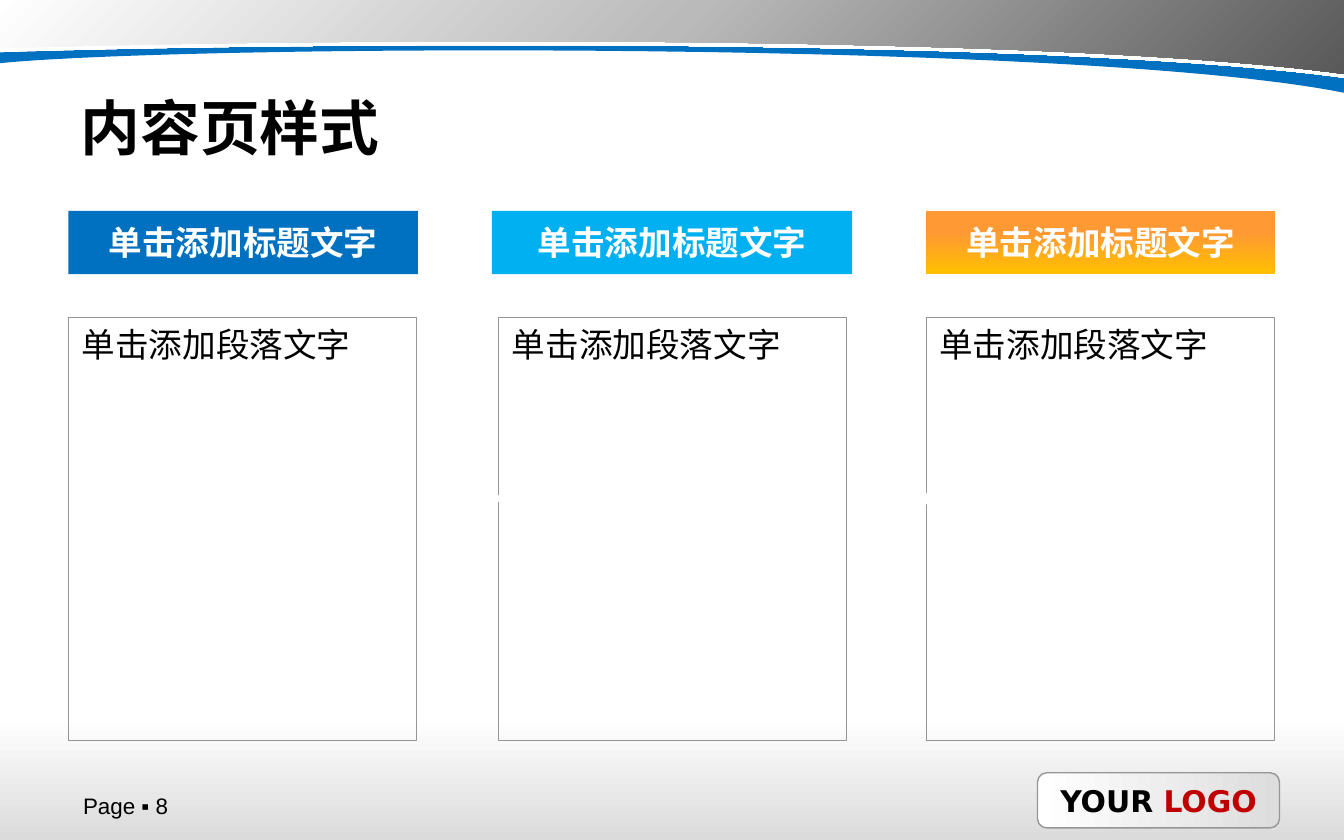
import pptx
import pptx.util
import pptx.dml.color
import pptx.enum.shapes
import pptx.enum.text
import pptx.oxml
import pptx.oxml.ns

Inches = pptx.util.Inches
Pt = pptx.util.Pt
RGBColor = pptx.dml.color.RGBColor
MSO_SHAPE = pptx.enum.shapes.MSO_SHAPE
PP_ALIGN = pptx.enum.text.PP_ALIGN
MIDDLE = pptx.enum.text.MSO_ANCHOR.MIDDLE

WHITE = RGBColor(0xFF, 0xFF, 0xFF)
BLACK = RGBColor(0x00, 0x00, 0x00)
BLUE = RGBColor(0x00, 0x70, 0xC0)
SKY = RGBColor(0x00, 0xB0, 0xF0)
AMBER = RGBColor(0xFF, 0xC0, 0x00)
ORANGE = RGBColor(0xFF, 0x99, 0x33)
RED = RGBColor(0xC0, 0x00, 0x00)
BORDER = RGBColor(0x96, 0x96, 0x96)
MIST = RGBColor(0xDD, 0xDD, 0xDD)
FOOTER_GRAY = RGBColor(0xDB, 0xDB, 0xDB)
SILVER = RGBColor(0xBA, 0xBA, 0xBA)
CHARCOAL = RGBColor(0x59, 0x59, 0x59)
NAMESPACE = pptx.oxml.ns.nsdecls("a")


def paint(shape, stops, angle=0):
    shape.shadow.inherit = False
    shape.line.fill.background()
    if len(stops) == 1:
        shape.fill.solid()
        shape.fill.fore_color.rgb = stops[0][1]
        return
    shape.fill.gradient()
    gradient = shape.fill._xPr.find(pptx.oxml.ns.qn("a:gradFill"))
    marks = "".join(
        f'<a:gs pos="{position * 1000}"><a:srgbClr val="{color}"/></a:gs>'
        for position, color in stops
    )
    gradient.getparent().replace(gradient, pptx.oxml.parse_xml(
        f'<a:gradFill {NAMESPACE} rotWithShape="1"><a:gsLst>{marks}</a:gsLst>'
        f'<a:lin ang="{angle * 60000}" scaled="0"/></a:gradFill>'))


def style(run, size, color, bold=False, font="DejaVu Sans"):
    run.font.size = Pt(size)
    run.font.color.rgb = color
    run.font.bold = bold
    run.font.name = font


deck = pptx.Presentation()
deck.slide_width = Inches(10)
deck.slide_height = Inches(6.25)
slide = deck.slides.add_slide(deck.slide_layouts[5])
shapes = slide.shapes

footer_band = shapes.add_shape(MSO_SHAPE.RECTANGLE, 0, Inches(5.33), Inches(10), Inches(0.92))
paint(footer_band, [(0, WHITE), (100, FOOTER_GRAY)], 90)

badge = shapes.add_shape(
    MSO_SHAPE.ROUNDED_RECTANGLE, Inches(7.72), Inches(5.75), Inches(1.8), Inches(0.41))
paint(badge, [(0, WHITE), (100, MIST)])
badge.line.color.rgb = BORDER
badge.line.width = Pt(0.75)
badge.text_frame.word_wrap = False
badge.text_frame.vertical_anchor = MIDDLE
badge_line = badge.text_frame.paragraphs[0]
badge_line.alignment = PP_ALIGN.CENTER
for word, color in (("YOUR ", BLACK), ("LOGO", RED)):
    run = badge_line.add_run()
    run.text = word
    style(run, 16, color, bold=True)

ribbons = (
    (0, 0.41, ((10, 0.69), (8.05, 0.3), (1.42, 0.33), (0, 0.47)), [(0, BLUE)]),
    (-0.03, 0.31, ((10, 0.55), (7.68, 0.24), (2.11, 0.29), (0, 0.36)),
     [(0, WHITE), (50, SILVER), (100, CHARCOAL)]),
)
STEPS = 60
for top, left_edge, controls, stops in ribbons:
    outline = []
    for step in range(STEPS + 1):
        t = step / STEPS
        weights = ((1 - t) ** 3, 3 * t * (1 - t) ** 2, 3 * t * t * (1 - t), t ** 3)
        outline.append(tuple(
            sum(weight * point[axis] for weight, point in zip(weights, controls))
            for axis in (0, 1)))
    outline += [(0, left_edge), (0, top), (10, top)]
    corners = [(Inches(x), Inches(y)) for x, y in outline]
    builder = shapes.build_freeform(*corners[0])
    builder.add_line_segments(corners[1:], close=True)
    ribbon = builder.convert_to_shape()
    paint(ribbon, stops, 45)

white_edge = pptx.oxml.parse_xml(
    f'<a:outerShdw {NAMESPACE} dist="{Pt(2)}" dir="5400000" algn="t" rotWithShape="0">'
    f'<a:srgbClr val="{WHITE}"/></a:outerShdw>')
ribbon._element.spPr.find(pptx.oxml.ns.qn("a:effectLst")).append(white_edge)

title = shapes.title
title.left, title.top = Inches(0.5), Inches(0.6)
title.width, title.height = Inches(9), Inches(0.69)
title.text_frame.text = "内容页样式"
title.text_frame.vertical_anchor = MIDDLE
title.text_frame.paragraphs[0].alignment = PP_ALIGN.LEFT
style(title.text_frame.paragraphs[0].runs[0], 32, BLACK, bold=True)

columns = (
    (0.51, 0.51, 2.6, [(0, BLUE)]),
    (3.66, 3.71, 2.68, [(0, SKY)]),
    (6.89, 6.89, 2.6, [(0, AMBER), (66, ORANGE)]),
)
for heading_left, panel_left, heading_width, stops in columns:
    heading = shapes.add_shape(
        MSO_SHAPE.RECTANGLE, Inches(heading_left), Inches(1.57),
        Inches(heading_width), Inches(0.47))
    paint(heading, stops, 270)
    heading.text_frame.text = "单击添加标题文字"
    heading.text_frame.word_wrap = False
    heading.text_frame.vertical_anchor = MIDDLE
    heading.text_frame.paragraphs[0].alignment = PP_ALIGN.CENTER
    style(heading.text_frame.paragraphs[0].runs[0], 18, WHITE, bold=True)

    panel = shapes.add_shape(
        MSO_SHAPE.ROUNDED_RECTANGLE, Inches(panel_left), Inches(2.36),
        Inches(2.59), Inches(3.15))
    panel.adjustments[0] = 0
    panel.shadow.inherit = False
    panel.fill.background()
    panel.line.color.rgb = BORDER
    panel.line.width = Pt(0.25)
    panel.text_frame.text = "单击添加段落文字"
    panel.text_frame.vertical_anchor = pptx.enum.text.MSO_ANCHOR.TOP
    body = panel.text_frame.paragraphs[0]
    body.alignment = PP_ALIGN.LEFT
    indent = body._p.get_or_add_pPr()
    indent.set("marL", str(Inches(0.39)))
    indent.set("indent", str(Inches(-0.39)))
    style(body.runs[0], 18, BLACK)

for arrow_left in (3.11, 6.31):
    arrow = shapes.add_shape(
        MSO_SHAPE.RIGHT_ARROW, Inches(arrow_left), Inches(3.27), Inches(0.62), Inches(0.88))
    arrow.adjustments[0] = 0.54
    arrow.adjustments[1] = 0.62
    paint(arrow, [(0, WHITE)])

page_number = shapes.add_textbox(Inches(0.52), Inches(5.88), Inches(1.57), Inches(0.22))
page_number.text_frame.word_wrap = True
page_number.text_frame.vertical_anchor = MIDDLE
page_number.text_frame.text = "Page ▪ 8"
style(page_number.text_frame.paragraphs[0].runs[0], 12, BLACK, font="Arial")

deck.save("out.pptx")
